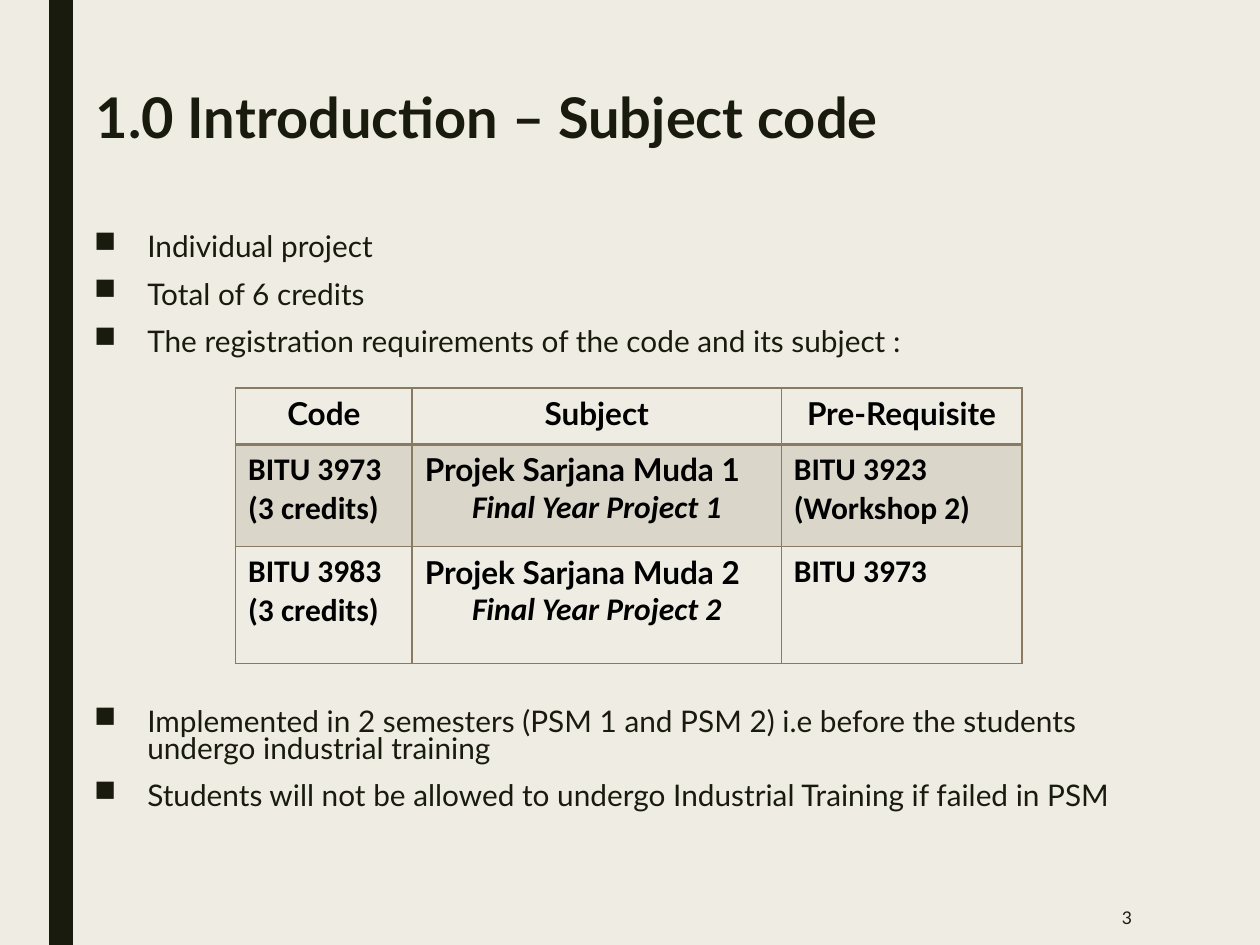
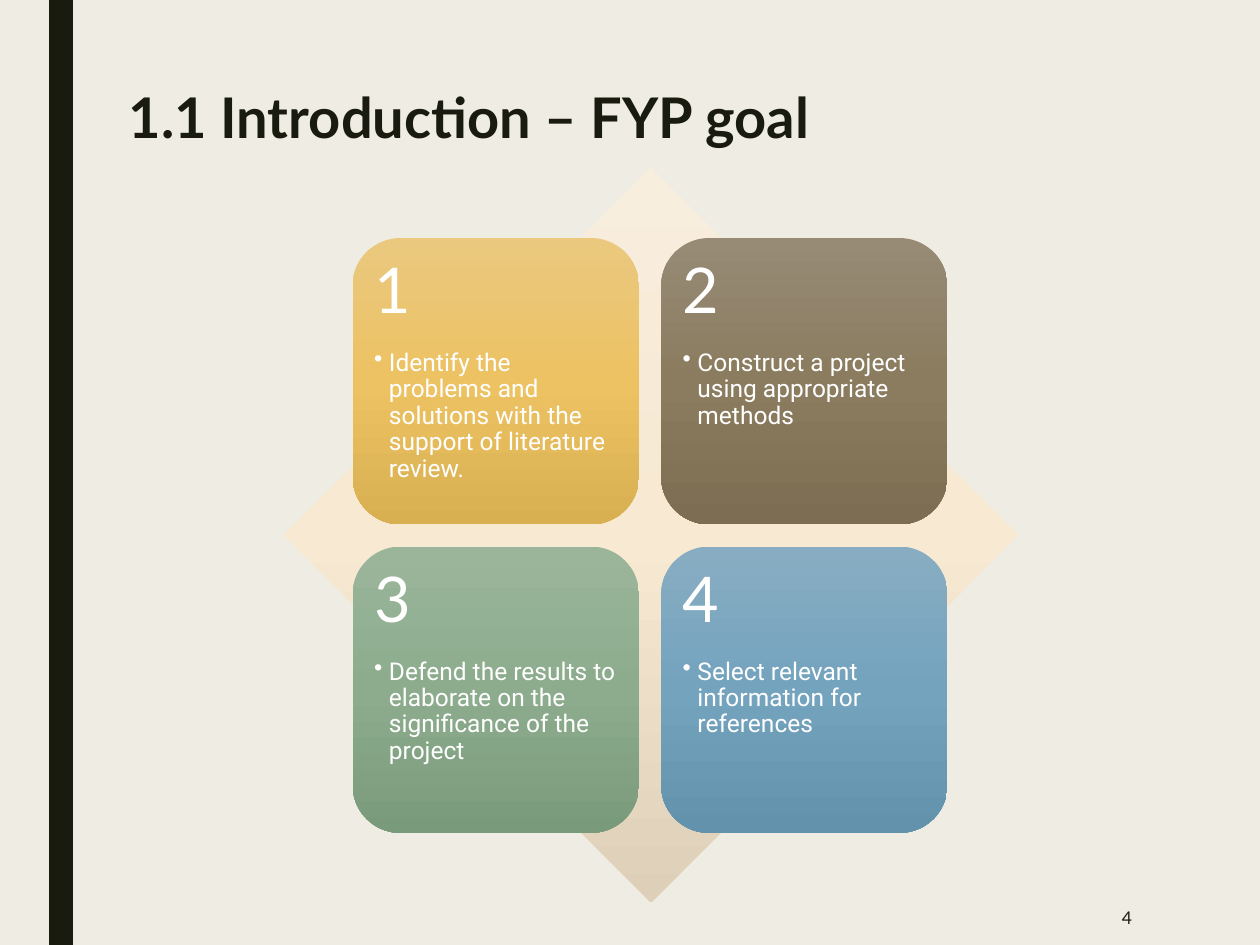
from copy import deepcopy

from lxml.etree import SubElement
from pptx import Presentation
from pptx.dml.color import RGBColor
from pptx.enum.shapes import MSO_SHAPE
from pptx.enum.text import MSO_ANCHOR, MSO_AUTO_SIZE, PP_ALIGN
from pptx.oxml.ns import qn
from pptx.util import Cm, Pt

COLORS = {
    "background": "EFEDE3",
    "dark": "191B0E",
    "black": "000000",
    "white": "FFFFFF",
    "table": "897B61",
}
DIAMOND_GRADIENT = ("F8EEDE", "F7E9D2", "DECFB8")


def add_run(paragraph, text, size, color, font="Lato", bold=False, italic=False):
    run = paragraph.add_run()
    run.text = text
    run.font.name = font
    run.font.size = Pt(size)
    run.font.bold = bold
    run.font.italic = italic
    run.font.color.rgb = RGBColor.from_string(COLORS[color])


def set_bullet(paragraph, character, indent):
    properties = paragraph._p.get_or_add_pPr()
    properties.set("marL", str(indent))
    properties.set("indent", str(-indent))
    SubElement(properties, qn("a:buChar"), char=character)


presentation = Presentation()
presentation.slide_width = Cm(25.4)
presentation.slide_height = Cm(19.05)
background = presentation.slide_master.background.fill
background.solid()
background.fore_color.rgb = RGBColor.from_string(COLORS["background"])

slides = []
for number, title_text, title_left, title_width in (
    (3, "1.0 Introduction – Subject code", 1.68, 23.7),
    (4, "1.1 Introduction – FYP goal", 2.34, 21.41),
):
    slide = presentation.slides.add_slide(presentation.slide_layouts[5])
    slides.append(slide)

    band = slide.shapes.add_shape(MSO_SHAPE.RECTANGLE, Cm(0.99), 0, Cm(0.48), Cm(19.05))
    band.shadow.inherit = False
    band.fill.solid()
    band.fill.fore_color.rgb = RGBColor.from_string(COLORS["dark"])
    band.line.fill.background()

    title = slide.shapes.title
    title.left, title.top = Cm(title_left), Cm(1.7)
    title.width, title.height = Cm(title_width), Cm(3.58)
    title.text_frame.auto_size = MSO_AUTO_SIZE.NONE
    title.text_frame.vertical_anchor = MSO_ANCHOR.TOP
    paragraph = title.text_frame.paragraphs[0]
    paragraph.alignment = PP_ALIGN.LEFT
    paragraph.line_spacing = 0.89
    add_run(paragraph, title_text, 32, "dark", bold=True)

    number_box = slide.shapes.add_textbox(Cm(19.74), Cm(17.93), Cm(3.33), Cm(1.12))
    number_box.text_frame.word_wrap = True
    number_box.text_frame.vertical_anchor = MSO_ANCHOR.MIDDLE
    paragraph = number_box.text_frame.paragraphs[0]
    paragraph.alignment = PP_ALIGN.RIGHT
    add_run(paragraph, str(number), 10, "dark")

subject_slide, goal_slide = slides

for top, height, points in (
    (4.65, 2.9, (
        "Individual project",
        "Total of 6 credits",
        "The registration requirements of the code and its subject :",
    )),
    (14.22, 3.18, (
        "Implemented in 2 semesters (PSM 1 and PSM 2) i.e before the students "
        "undergo industrial training",
        "Students will not be allowed to undergo Industrial Training if failed in PSM",
    )),
):
    points_box = subject_slide.shapes.add_textbox(Cm(1.65), Cm(top), Cm(22.1), Cm(height))
    frame = points_box.text_frame
    frame.word_wrap = True
    for index, point in enumerate(points):
        paragraph = frame.add_paragraph() if index else frame.paragraphs[0]
        set_bullet(paragraph, "■", Cm(1.07))
        paragraph.line_spacing = 0.74
        paragraph.space_before = Pt(10 if index else 0)
        paragraph.space_after = Pt(2)
        add_run(paragraph, point, 17, "dark")

subject_rows = (
    (("Code",), ("Subject",), ("Pre-Requisite",)),
    (
        ("BITU 3973", "(3 credits)"),
        ("Projek Sarjana Muda 1", "Final Year Project 1"),
        ("BITU 3923", "(Workshop 2)"),
    ),
    (
        ("BITU 3983", "(3 credits)"),
        ("Projek Sarjana Muda 2", "Final Year Project 2"),
        ("BITU 3973",),
    ),
)
column_widths = (3.56, 7.44, 4.85)
row_heights = (1.14, 2.06, 2.36)
table = subject_slide.shapes.add_table(
    3, 3, Cm(4.75), Cm(7.82), Cm(sum(column_widths)), Cm(sum(row_heights))
).table
table.first_row = False
table.horz_banding = False
for column, width in zip(table.columns, column_widths):
    column.width = Cm(width)
for row, height in zip(table.rows, row_heights):
    row.height = Cm(height)

for row_index, row_texts in enumerate(subject_rows):
    for column_index, lines in enumerate(row_texts):
        cell = table.cell(row_index, column_index)
        cell_properties = cell._tc.get_or_add_tcPr()
        for side in ("lnL", "lnR", "lnT", "lnB"):
            under_header = (row_index, side) in ((0, "lnB"), (1, "lnT"))
            border = SubElement(
                cell_properties, qn(f"a:{side}"), w=str(Pt(2 if under_header else 1))
            )
            border_fill = SubElement(border, qn("a:solidFill"))
            SubElement(border_fill, qn("a:srgbClr"), val=COLORS["table"])
        if row_index == 1:
            cell.fill.solid()
            cell.fill.fore_color.rgb = RGBColor.from_string(COLORS["table"])
            cell_color = cell_properties.find(qn("a:solidFill"))[0]
            SubElement(cell_color, qn("a:alpha"), val="20000")
        else:
            cell.fill.background()

        for line_index, line in enumerate(lines):
            frame = cell.text_frame
            paragraph = frame.add_paragraph() if line_index else frame.paragraphs[0]
            is_header = row_index == 0
            is_subject = column_index == 1
            is_translation = is_subject and line_index == 1
            if is_header or is_translation:
                paragraph.alignment = PP_ALIGN.CENTER
            uses_lato = is_header or (is_subject and not is_translation)
            add_run(paragraph, line, 18, "black", "Lato" if uses_lato else "Calibri",
                    bold=True, italic=is_translation)

goals = (
    ("Identify the problems and solutions with the support of literature review.",
     ("EAC87E", "ECC263", "D9B051")),
    ("Construct a project using appropriate methods", ("978B76", "8B7C5F", "7D6E53")),
    ("Defend the results to elaborate on the significance of the project",
     ("9BB59B", "8CAC8D", "7A9B7B")),
    ("Select relevant information for references", ("88ADC3", "74A3BE", "6392AD")),
)
diamond = goal_slide.shapes.add_shape(
    MSO_SHAPE.DIAMOND, Cm(5.72), Cm(3.38), Cm(14.81), Cm(14.81)
)
gradient_shapes = [(diamond, DIAMOND_GRADIENT)]
for index, (goal, gradient) in enumerate(goals):
    row_index, column_index = divmod(index, 2)
    tile = goal_slide.shapes.add_shape(
        MSO_SHAPE.ROUNDED_RECTANGLE,
        Cm(7.11 + 6.22 * column_index), Cm(4.8 + 6.22 * row_index), Cm(5.77), Cm(5.77),
    )
    gradient_shapes.append((tile, gradient))
    frame = tile.text_frame
    frame.word_wrap = True
    frame.vertical_anchor = MSO_ANCHOR.TOP
    frame.margin_left = frame.margin_right = Cm(0.15)
    frame.margin_top = frame.margin_bottom = Cm(0.15)

    heading = frame.paragraphs[0]
    heading.space_after = Pt(13)
    add_run(heading, str(index + 1), 36, "white")
    description = frame.add_paragraph()
    description.level = 1
    set_bullet(description, "•", Cm(0.3))
    add_run(description, goal, 14, "white", "Roboto")
    for paragraph in frame.paragraphs:
        paragraph.alignment = PP_ALIGN.LEFT
        paragraph.line_spacing = 0.9

for shape, gradient in gradient_shapes:
    shape.shadow.inherit = False
    shape.line.fill.background()
    shape.fill.gradient()
    shape.fill.gradient_angle = 270
    stop_list = shape._element.spPr.find(".//" + qn("a:gsLst"))
    stop_list.insert(1, deepcopy(stop_list[0]))
    for stop, color, position in zip(shape.fill.gradient_stops, gradient, (0, 0.5, 1)):
        stop.color.rgb = RGBColor.from_string(color)
        stop.position = position

presentation.save("out.pptx")
